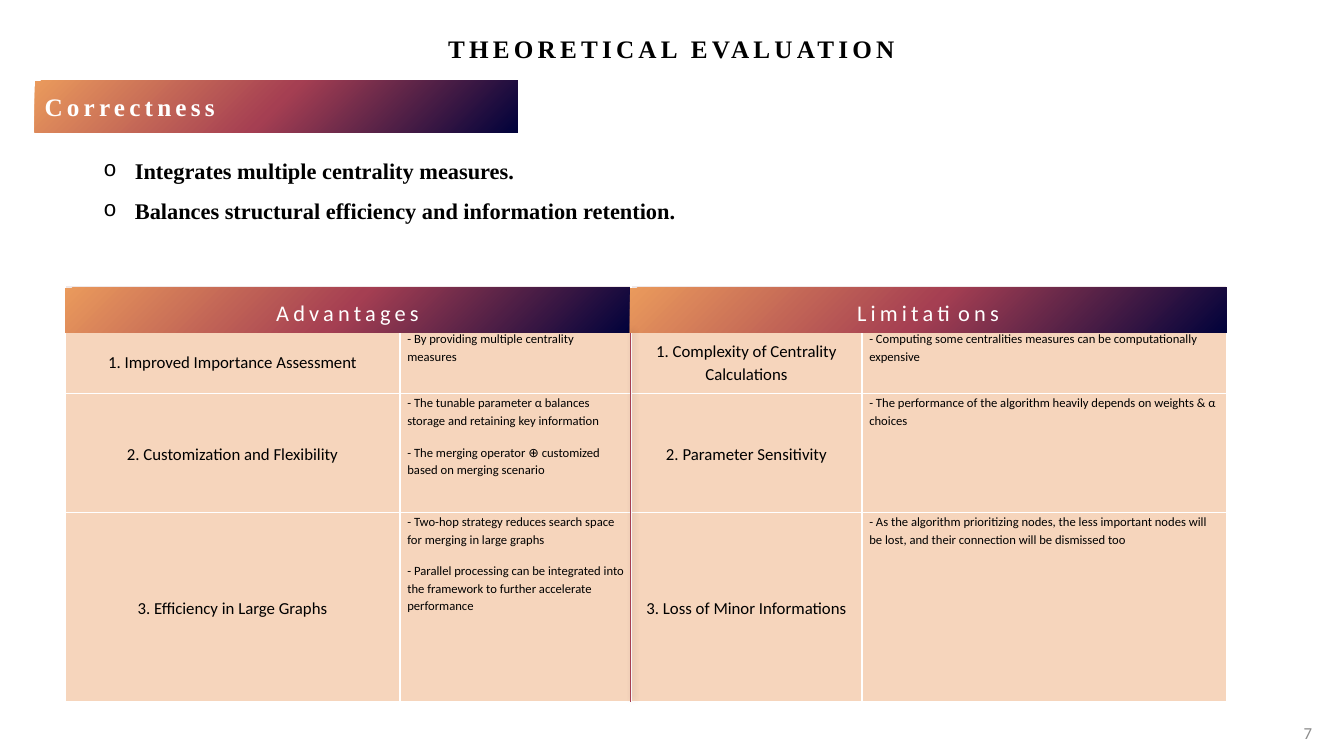
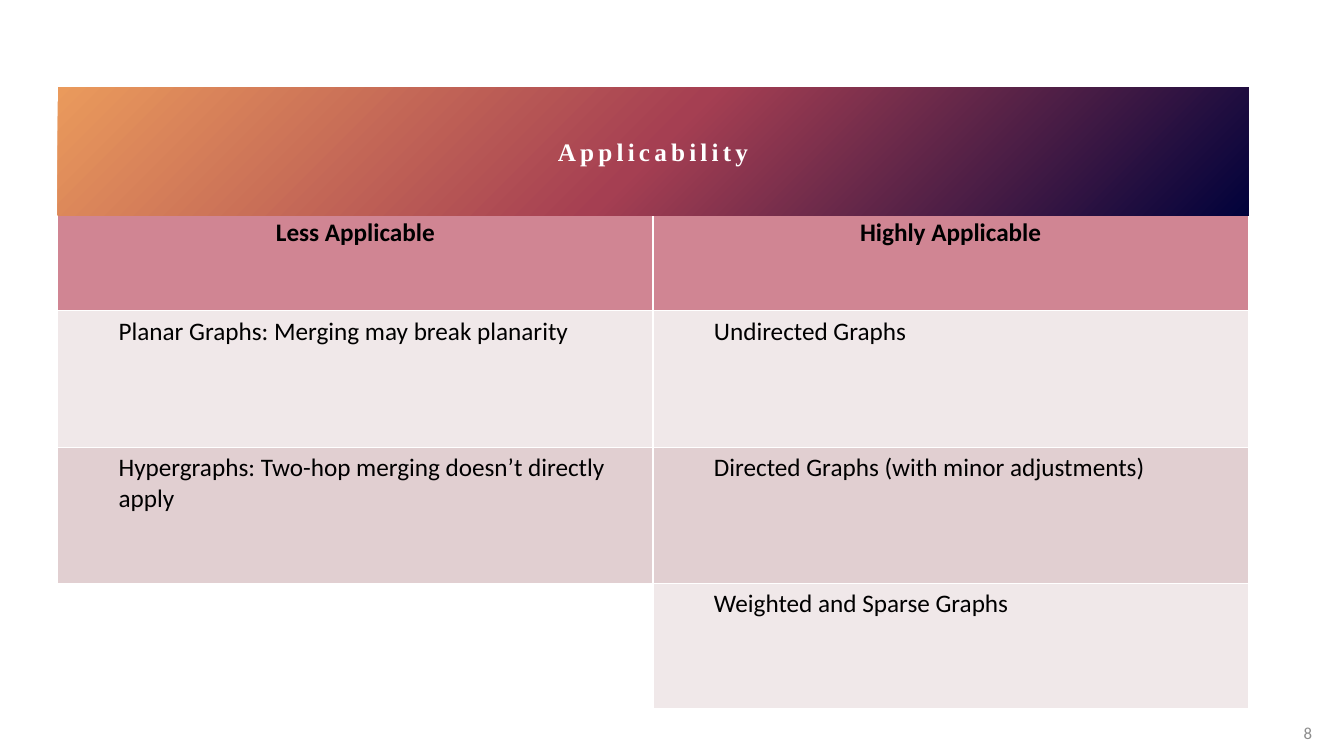
from dataclasses import dataclass
from typing import Optional

from pptx import Presentation
from pptx.dml.color import RGBColor
from pptx.enum.shapes import MSO_CONNECTOR, MSO_SHAPE
from pptx.enum.text import MSO_ANCHOR, PP_ALIGN
from pptx.oxml import parse_xml
from pptx.oxml.ns import nsdecls
from pptx.util import Emu, Pt

EMU_PER_PX = 9525


@dataclass(frozen=True)
class Theme:
    heading_font: str = "Times New Roman"
    body_font: str = "Calibri"
    bullet_font: str = "Courier New"
    navy: str = "01023B"
    crimson: str = "A53F52"
    orange: str = "EA9A5C"
    peach: str = "F6D5BC"
    rose: str = "D08593"
    pale: str = "F0E8E9"
    blush: str = "E1CFD1"
    black: str = "000000"
    white: str = "FFFFFF"
    grey: str = "8C8C8C"
    heading_size: int = 18
    label_size: int = 16
    topic_size: int = 12
    detail_size: int = 9
    tracking: int = 3


THEME = Theme()


@dataclass(frozen=True)
class Box:
    left: int
    top: int
    width: int
    height: int

    def emu(self) -> tuple:
        return tuple(px(v) for v in (self.left, self.top, self.width, self.height))


@dataclass(frozen=True)
class TextStyle:
    size: int
    font: str = THEME.body_font
    color: str = THEME.black
    bold: bool = False
    tracking: int = 0
    align: PP_ALIGN = PP_ALIGN.LEFT
    anchor: MSO_ANCHOR = MSO_ANCHOR.TOP
    line_spacing: Optional[float] = None
    gap_before: int = 0
    gap_after: int = 0
    indent: int = 0
    hanging: int = 0
    bullet: str = ""


@dataclass(frozen=True)
class CellSpec:
    lines: tuple
    style: TextStyle
    fill: Optional[str]
    margins: tuple = (10, 5)


@dataclass(frozen=True)
class Comparison:
    advantage: str
    advantage_details: tuple
    limitation: str
    limitation_details: tuple


CENTER, MIDDLE = PP_ALIGN.CENTER, MSO_ANCHOR.MIDDLE
TITLE = TextStyle(THEME.heading_size, THEME.heading_font, bold=True,
                  tracking=THEME.tracking, align=CENTER, anchor=MIDDLE)
BADGE = TextStyle(THEME.heading_size, THEME.heading_font, THEME.white, True,
                  THEME.tracking, anchor=MIDDLE)
BANNER = TextStyle(THEME.heading_size, THEME.heading_font, THEME.white, True,
                   THEME.tracking, CENTER, MIDDLE)
COLUMN_LABEL = TextStyle(THEME.label_size, color=THEME.white, tracking=THEME.tracking,
                         align=CENTER, anchor=MIDDLE, line_spacing=1.15)
PAGE_NUMBER = TextStyle(THEME.topic_size, color=THEME.grey,
                        align=PP_ALIGN.RIGHT, anchor=MIDDLE)
BULLETS = TextStyle(THEME.label_size, THEME.heading_font, bold=True, line_spacing=1.07,
                    gap_after=8, indent=78, hanging=30, bullet="o")
TOPIC = TextStyle(THEME.topic_size, align=CENTER, anchor=MIDDLE, line_spacing=1.15)
DETAIL = TextStyle(THEME.detail_size, line_spacing=1.15, gap_before=10)
SUBHEAD = TextStyle(THEME.heading_size, bold=True, align=CENTER)
ENTRY = TextStyle(THEME.heading_size, indent=48)

COMPARISONS = (
    Comparison(
        "1. Improved Importance Assessment",
        ("- By providing multiple centrality measures",),
        "1. Complexity of Centrality Calculations",
        ("- Computing some centralities measures can be computationally expensive",)),
    Comparison(
        "2. Customization and Flexibility",
        ("- The tunable parameter α balances storage and retaining key information",
         "- The merging operator ⊕ customized based on merging scenario"),
        "2. Parameter Sensitivity",
        ("- The performance of the algorithm heavily depends on weights & α choices",)),
    Comparison(
        "3. Efficiency in Large Graphs",
        ("- Two-hop strategy reduces search space for merging in large graphs",
         "- Parallel processing can be integrated into the framework "
         "to further accelerate performance"),
        "3. Loss of Minor Informations",
        ("- As the algorithm prioritizing nodes, the less important nodes will be lost, "
         "and their connection will be dismissed too",)),
)

APPLICABILITY = (
    ("Planar Graphs: Merging may break planarity", "Undirected Graphs"),
    ("Hypergraphs: Two-hop merging doesn’t directly apply",
     "Directed Graphs (with minor adjustments)"),
    ("", "Weighted and Sparse Graphs"),
)


def px(value: int) -> Emu:
    return Emu(value * EMU_PER_PX)


def write_text(text_frame, lines: tuple, style: TextStyle) -> None:
    text_frame.text = "\n".join(lines)
    for index, paragraph in enumerate(text_frame.paragraphs):
        properties = paragraph._p.get_or_add_pPr()
        if style.indent:
            properties.set("marL", str(px(style.indent)))
            properties.set("indent", str(-px(style.hanging)))
        if style.bullet:
            properties.append(parse_xml(
                f'<a:buFont {nsdecls("a")} typeface="{THEME.bullet_font}"/>'))
            properties.append(parse_xml(
                f'<a:buChar {nsdecls("a")} char="{style.bullet}"/>'))
        paragraph.alignment = style.align
        if style.line_spacing:
            paragraph.line_spacing = style.line_spacing
        if index and style.gap_before:
            paragraph.space_before = Pt(style.gap_before)
        if style.gap_after:
            paragraph.space_after = Pt(style.gap_after)
        for run in paragraph.runs:
            run.font.name = style.font
            run.font.size = Pt(style.size)
            run.font.bold = style.bold
            run.font.color.rgb = RGBColor.from_string(style.color)
            if style.tracking:
                run._r.get_or_add_rPr().set("spc", str(style.tracking * 100))


def add_text(slide, box: Box, lines: tuple, style: TextStyle) -> None:
    text_frame = slide.shapes.add_textbox(*box.emu()).text_frame
    text_frame.word_wrap = True
    text_frame.vertical_anchor = style.anchor
    write_text(text_frame, lines, style)


def add_band(slide, box: Box, label: str, style: TextStyle) -> None:
    """Rectangle shaded from navy at the lower right to orange at the upper left."""
    shape = slide.shapes.add_shape(MSO_SHAPE.RECTANGLE, *box.emu())
    shape.shadow.inherit = False
    stops = "".join(
        f'<a:gs pos="{position}"><a:srgbClr val="{color}"/></a:gs>'
        for position, color in ((0, THEME.navy), (50000, THEME.crimson),
                                (100000, THEME.orange)))
    shape._element.spPr.find("{*}prstGeom").addnext(parse_xml(
        f'<a:gradFill {nsdecls("a")} rotWithShape="1"><a:gsLst>{stops}</a:gsLst>'
        '<a:path path="circle"><a:fillToRect l="100000" t="100000"/></a:path>'
        '<a:tileRect r="-100000" b="-100000"/></a:gradFill>'))
    shape.line.fill.background()
    shape.text_frame.word_wrap = True
    shape.text_frame.vertical_anchor = style.anchor
    write_text(shape.text_frame, (label,), style)


def format_cell(cell, spec: CellSpec) -> None:
    cell.margin_left = cell.margin_right = px(spec.margins[0])
    cell.margin_top = cell.margin_bottom = px(spec.margins[1])
    cell.vertical_anchor = spec.style.anchor
    write_text(cell.text_frame, spec.lines, spec.style)
    properties = cell._tc.get_or_add_tcPr()
    for side in "LRTB":
        properties.append(parse_xml(
            f'<a:ln{side} {nsdecls("a")} w="{Pt(1)}"><a:solidFill>'
            f'<a:srgbClr val="{THEME.white}"/></a:solidFill></a:ln{side}>'))
    if spec.fill:
        cell.fill.solid()
        cell.fill.fore_color.rgb = RGBColor.from_string(spec.fill)
    else:
        cell.fill.background()


def add_grid(slide, left: int, top: int, widths: tuple, heights: tuple, rows: list):
    box = Box(left, top, sum(widths), sum(heights))
    table = slide.shapes.add_table(len(heights), len(widths), *box.emu()).table
    table.first_row = table.horz_banding = False
    for column, width in zip(table.columns, widths):
        column.width = px(width)
    for row, height, specs in zip(table.rows, heights, rows):
        row.height = px(height)
        for cell, spec in zip(row.cells, specs):
            format_cell(cell, spec)
    return table


def add_divider(slide, x: int, top: int, bottom: int) -> None:
    line = slide.shapes.add_connector(
        MSO_CONNECTOR.STRAIGHT, px(x), px(top), px(x), px(bottom))
    line.line.color.rgb = RGBColor.from_string(THEME.crimson)
    line.line.width = Pt(0.5)
    line._element.spPr.append(parse_xml(
        f'<a:effectLst {nsdecls("a")}><a:outerShdw blurRad="{Pt(4)}" dist="{Pt(3)}" '
        f'dir="18900000" algn="bl" rotWithShape="0"><a:srgbClr val="{THEME.black}">'
        '<a:alpha val="40000"/></a:srgbClr></a:outerShdw></a:effectLst>'))


def add_page(presentation, number: int):
    slide = presentation.slides.add_slide(presentation.slide_layouts[6])
    add_text(slide, Box(1212, 679, 47, 38), (str(number),), PAGE_NUMBER)
    return slide


def build_evaluation(presentation) -> None:
    slide = add_page(presentation, 7)
    add_text(slide, Box(62, 3, 1155, 86), ("THEORETICAL EVALUATION",), TITLE)
    add_band(slide, Box(33, 77, 460, 49), "Correctness", BADGE)
    add_text(slide, Box(41, 143, 639, 75),
             ("Integrates multiple centrality measures.",
              "Balances structural efficiency and information retention."), BULLETS)

    # Advantages and limitations, side by side
    left, top, divider = 62, 272, 600
    widths, heights = (319, 220, 220, 347), (42, 61, 113, 180)
    rows = [[CellSpec(("",), TOPIC, THEME.pale)] * 4]
    for item in COMPARISONS:
        rows.append([
            CellSpec(lines, style, THEME.peach, (7, 0))
            for lines, style in (((item.advantage,), TOPIC),
                                 (item.advantage_details, DETAIL),
                                 ((item.limitation,), TOPIC),
                                 (item.limitation_details, DETAIL))])
    table = add_grid(slide, left, top, widths, heights, rows)
    for column in (0, 2):
        table.cell(0, column).merge(table.cell(0, column + 1))

    # Column headings over the first row
    right = left + sum(widths)
    for label, start, end in (("Advantages", left, divider),
                              ("Limitations", divider, right)):
        add_band(slide, Box(start, 274, end - start, 43), label, COLUMN_LABEL)
    add_divider(slide, divider, 317, 669)


def build_applicability(presentation) -> None:
    slide = add_page(presentation, 8)
    left, top, widths = 55, 83, (567, 567)
    rows = [[CellSpec(("",), SUBHEAD, THEME.crimson)] * 2,
            [CellSpec((label,), SUBHEAD, THEME.rose)
             for label in ("Less Applicable", "Highly Applicable")]]
    for index, entries in enumerate(APPLICABILITY):
        band = (THEME.pale, THEME.blush)[index % 2]
        rows.append([CellSpec((entry,), ENTRY, band if entry else None)
                     for entry in entries])
    table = add_grid(slide, left, top, widths, (119, 94, 130, 130, 119), rows)
    table.cell(0, 0).merge(table.cell(0, 1))
    add_band(slide, Box(left, top, sum(widths), 122), "Applicability", BANNER)


def main() -> None:
    presentation = Presentation()
    presentation.slide_width, presentation.slide_height = px(1280), px(720)
    build_evaluation(presentation)
    build_applicability(presentation)
    presentation.save("out.pptx")


if __name__ == "__main__":
    main()
